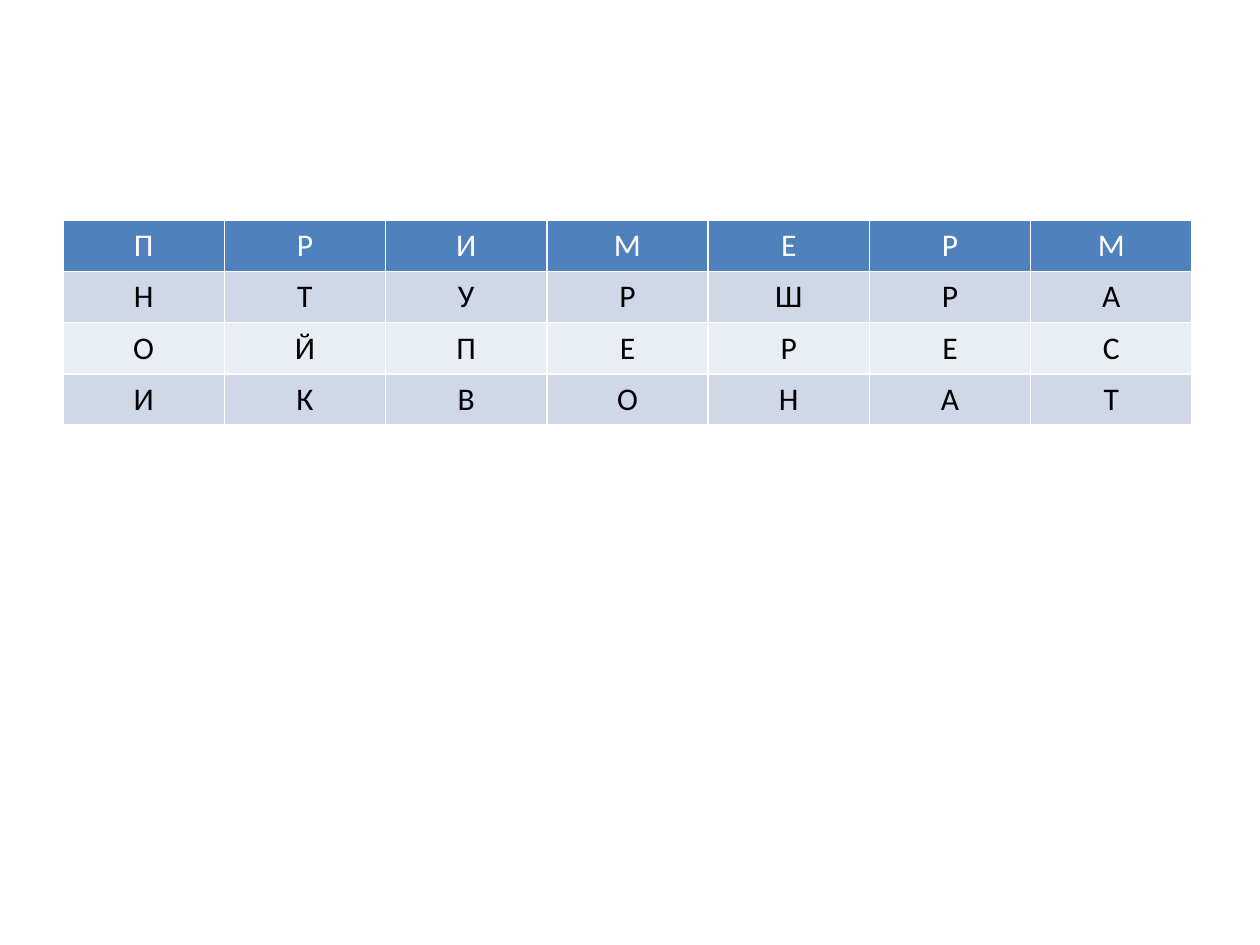
from dataclasses import dataclass

from pptx import Presentation
from pptx.dml.color import RGBColor
from pptx.enum.text import PP_ALIGN
from pptx.table import Table, _Cell
from pptx.util import Inches, Pt

WHITE = RGBColor(0xFF, 0xFF, 0xFF)
BLACK = RGBColor(0x00, 0x00, 0x00)
HEADER_BLUE = RGBColor(0x4F, 0x81, 0xBD)
BAND_DARK = RGBColor(0xD0, 0xD8, 0xE8)
BAND_LIGHT = RGBColor(0xE9, 0xED, 0xF4)

SLIDE_WIDTH = Inches(10)
SLIDE_HEIGHT = Inches(7.5)
TABLE_LEFT = Inches(0.5)
TABLE_TOP = Inches(1.75)
COLUMN_WIDTH = Inches(1.28)
ROW_HEIGHT = Inches(0.4)


@dataclass(frozen=True)
class LetterRow:
    letters: str
    fill: RGBColor
    ink: RGBColor = BLACK


LETTER_ROWS = [
    LetterRow("ПРИМЕРМ", HEADER_BLUE, WHITE),
    LetterRow("НТУРШРА", BAND_DARK),
    LetterRow("ОЙПЕРЕС", BAND_LIGHT),
    LetterRow("ИКВОНАТ", BAND_DARK),
]


def write_letter(cell: _Cell, letter: str, row: LetterRow) -> None:
    cell.fill.solid()
    cell.fill.fore_color.rgb = row.fill
    paragraph = cell.text_frame.paragraphs[0]
    paragraph.alignment = PP_ALIGN.CENTER
    run = paragraph.add_run()
    run.text = letter
    run.font.name = "Calibri"
    run.font.size = Pt(18)
    run.font.bold = False
    run.font.color.rgb = row.ink


def fill_table(table: Table, rows: list[LetterRow]) -> None:
    for row_index, row in enumerate(rows):
        for column_index, letter in enumerate(row.letters):
            write_letter(table.cell(row_index, column_index), letter, row)


def main() -> None:
    presentation = Presentation()
    presentation.slide_width = SLIDE_WIDTH
    presentation.slide_height = SLIDE_HEIGHT
    slide = presentation.slides.add_slide(presentation.slide_layouts[6])
    row_count = len(LETTER_ROWS)
    column_count = len(LETTER_ROWS[0].letters)
    letter_grid = slide.shapes.add_table(
        row_count,
        column_count,
        TABLE_LEFT,
        TABLE_TOP,
        COLUMN_WIDTH * column_count,
        ROW_HEIGHT * row_count,
    )
    fill_table(letter_grid.table, LETTER_ROWS)
    presentation.save("out.pptx")


main()
